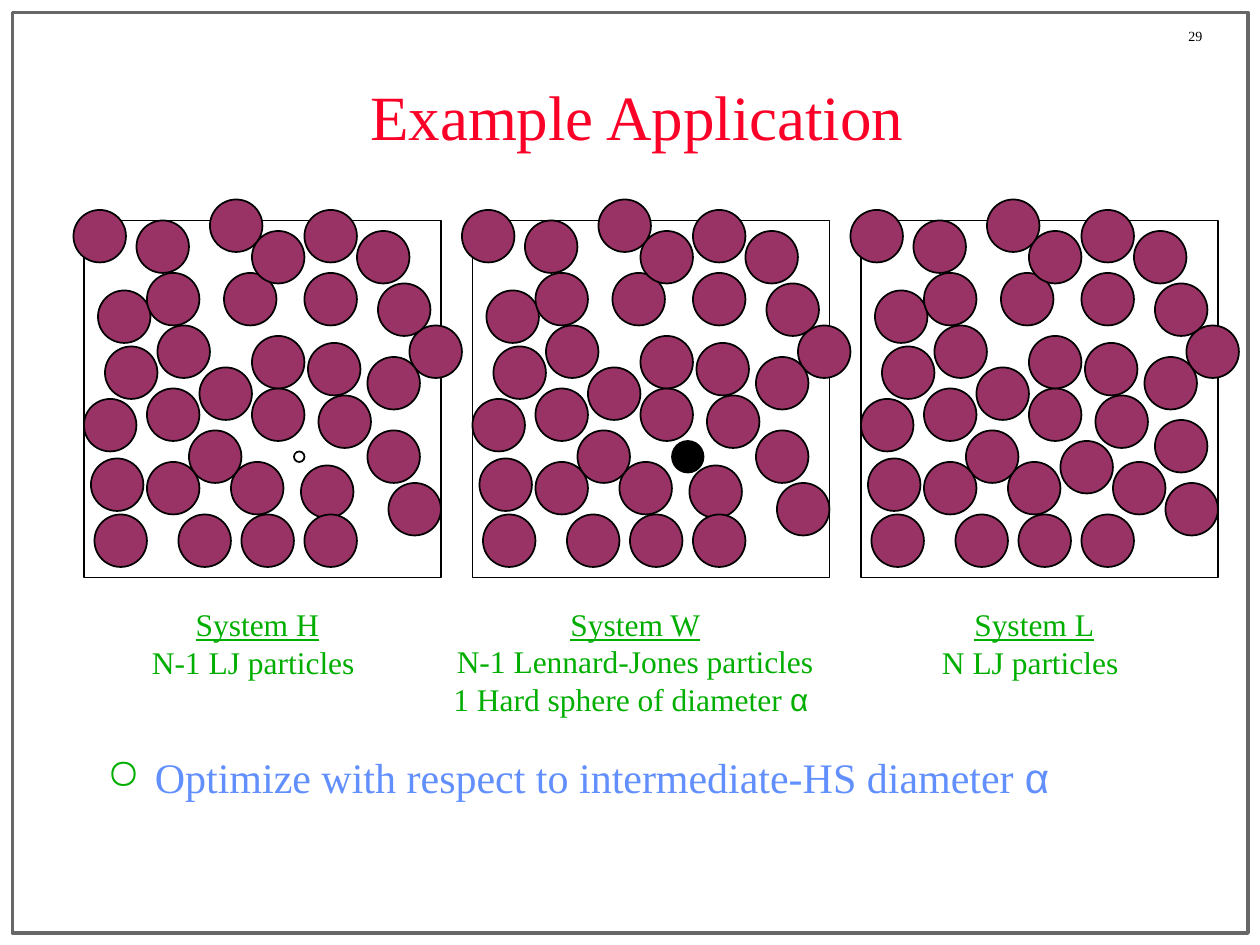
import pptx
import pptx.util
import pptx.dml.color
import pptx.enum.shapes
import pptx.enum.text
import pptx.oxml.ns
import lxml.etree

COLORS = {"black": "000000", "frame": "676767", "particle": "993366",
          "title": "FC0128", "caption": "00AE00", "body": "618FFD"}
COLUMNS, ROWS = 360, 270
UNIT = pptx.util.Inches(10) // COLUMNS
DIAMETER = 15
PANEL, PITCH = 102, 111
SHARED = [(15, 0), (4, 20), (18, 15), (21, 30), (40, 15), (18, 48), (48, 48),
          (63, 15), (64, 35), (67, 50), (42, 69), (48, 33), (30, 60), (48, 3),
          (87, 75), (36, -6), (63, -3), (27, 84), (18, 69), (63, 84), (0, 51),
          (3, 84), (93, 30), (2, 68), (6, 36), (33, 42), (-3, -3), (84, 18),
          (78, 3), (45, 84), (81, 39)]
NEAR_HOLE = [(62, 70), (81, 60)]
FILLED_HOLE = [(72, 69), (84, 57)]
SYSTEMS = [
    {"moved": NEAR_HOLE, "sphere": (60, 66, 3, None), "caption_left": 18,
     "lines": [["System H"], ["N-1 LJ particles "]]},
    {"moved": NEAR_HOLE, "sphere": (57, 63, 9, "black"), "caption_left": 126,
     "lines": [["System W"], ["N-1 Lennard-Jones particles"],
               ["1 Hard sphere of diameter ", "α "]]},
    {"moved": FILLED_HOLE, "sphere": (57, 63, DIAMETER, "particle"), "caption_left": 240,
     "lines": [["System L"], ["N LJ particles "]]},
]


def rgb(name):
    """Return the named colour."""
    return pptx.dml.color.RGBColor.from_string(COLORS[name])


def place(box):
    """Turn a box in grid units into lengths."""
    return [round(v * UNIT) for v in box]


def add_outline(s, kind, box, fill=None, line="black", width=1):
    """Add an outlined preset shape."""
    sp = s.shapes.add_shape(kind, *place(box))
    sp.shadow.inherit = False
    if fill:
        sp.fill.solid()
        sp.fill.fore_color.rgb = rgb(fill)
    else:
        sp.fill.background()
    sp.line.color.rgb = rgb(line)
    sp.line.width = pptx.util.Pt(width)
    return sp


def add_text(s, box, lines, size=18, color="black", align="LEFT", anchor="TOP",
             wrap=True, underline_first=False):
    """Add lines of runs, setting Greek letters in Arial."""
    tf = s.shapes.add_textbox(*place(box)).text_frame
    tf.word_wrap = wrap
    tf.vertical_anchor = getattr(pptx.enum.text.MSO_ANCHOR, anchor)
    for i, runs in enumerate(lines):
        p = tf.paragraphs[0] if i == 0 else tf.add_paragraph()
        p.alignment = getattr(pptx.enum.text.PP_ALIGN, align)
        for text in runs:
            r = p.add_run()
            r.text = text
            r.font.name = "Arial" if "α" in text else "Times New Roman"
            r.font.size = pptx.util.Pt(size)
            r.font.color.rgb = rgb(color)
            r.font.underline = underline_first and i == 0
    return tf


def add_bullet(p, char, color, indent):
    """Give a paragraph a coloured hanging bullet."""
    pPr = p._p.get_or_add_pPr()
    pPr.set("marL", str(indent))
    pPr.set("indent", str(-indent))
    qn = pptx.oxml.ns.qn
    clr = lxml.etree.SubElement(pPr, qn("a:buClr"))
    lxml.etree.SubElement(clr, qn("a:srgbClr"), val=COLORS[color])
    lxml.etree.SubElement(pPr, qn("a:buChar"), char=char)


def add_header(s, box):
    """Draw the page frame, slide number and title."""
    left, top, width, height = box
    rect = pptx.enum.shapes.MSO_SHAPE.RECTANGLE
    add_outline(s, rect, (left + 3.6, top + 3.6, width - 7, height - 7), line="frame", width=2)
    add_text(s, (left + 336, top + 6, 24, 8), [["29"]], size=8, wrap=False)
    add_text(s, (left + 27, top + 15, 310, 36), [["Example Application"]], size=36,
             color="title", align="CENTER", anchor="MIDDLE")


def add_system(s, box, moved, sphere, caption_left, lines):
    """Draw one simulation cell with its particles and caption."""
    left, top, width, height = box
    shapes = pptx.enum.shapes.MSO_SHAPE
    add_outline(s, shapes.RECTANGLE, box)
    particles = [(x, y, DIAMETER, "particle") for x, y in moved + SHARED]
    for x, y, size, fill in particles + [sphere]:
        add_outline(s, shapes.OVAL, (left + x, top + y, size, size), fill)
    add_text(s, (caption_left, top + height + 6, PITCH, 12 * len(lines)), lines,
             color="caption", align="CENTER", underline_first=True)


def add_body(s, box):
    """Write the closing bullet."""
    tf = add_text(s, box, [["Optimize with respect to intermediate-HS diameter ", "α"]],
                  size=24, color="body")
    p = tf.paragraphs[0]
    p.space_before = pptx.util.Pt(6)
    add_bullet(p, "○", "caption", pptx.util.Inches(0.38))


def main():
    """Build and save the slide."""
    prs = pptx.Presentation()
    prs.slide_width, prs.slide_height = COLUMNS * UNIT, ROWS * UNIT
    s = prs.slides.add_slide(prs.slide_layouts[6])
    add_header(s, (0, 0, COLUMNS, ROWS))
    for i, system in enumerate(SYSTEMS):
        add_system(s, (24 + i * PITCH, 63, PANEL, PANEL), **system)
    add_body(s, (27, 213, 315, 27))
    prs.save("out.pptx")


if __name__ == "__main__":
    main()
